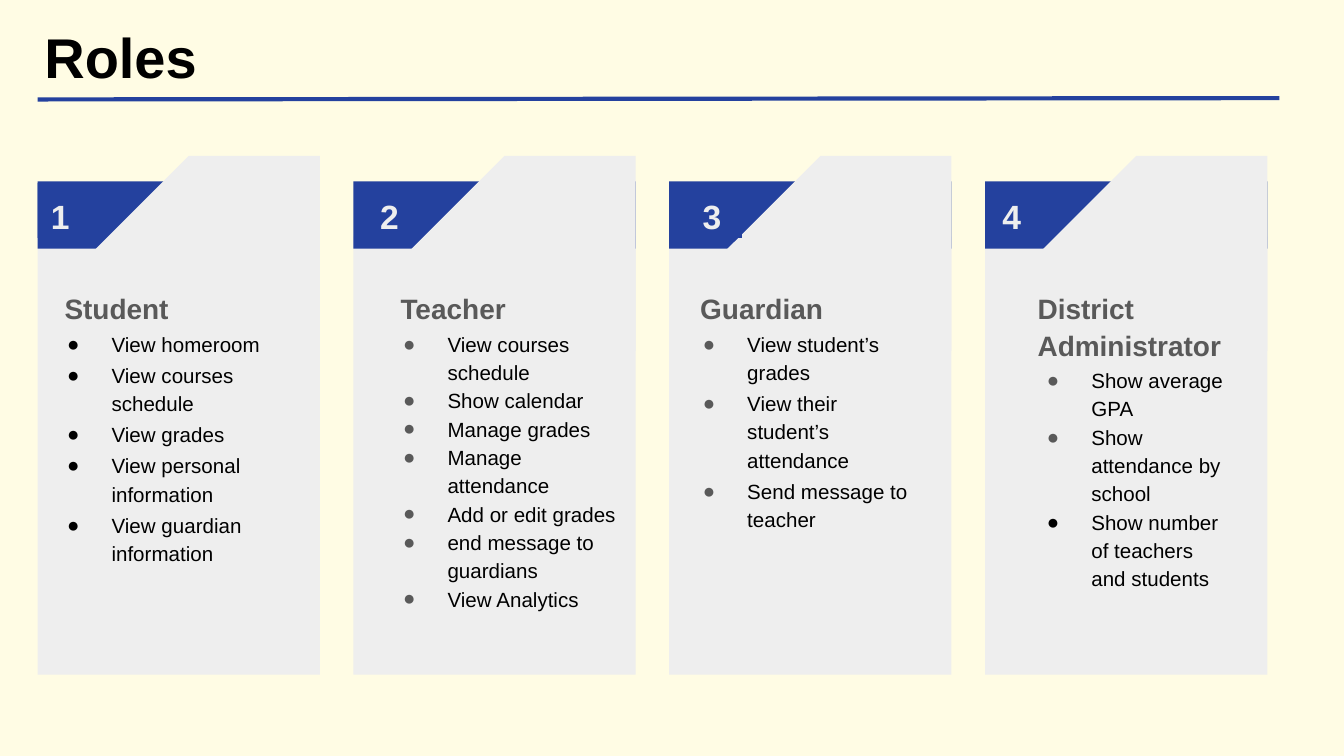
"""Build the Roles slide with four numbered cards."""
from dataclasses import dataclass

from lxml.etree import SubElement
from pptx import Presentation
from pptx.dml.color import RGBColor
from pptx.enum.shapes import MSO_CONNECTOR, MSO_SHAPE
from pptx.enum.text import MSO_ANCHOR, MSO_AUTO_SIZE, PP_ALIGN
from pptx.oxml.ns import qn
from pptx.util import Inches, Pt


@dataclass(frozen=True)
class Theme:
    """Hold the colours, the font and the type sizes."""
    page: str = "FFFCE4"
    blue: str = "24419E"
    card: str = "EEEEEE"
    gray: str = "595959"
    ink: str = "000000"
    font: str = "Arial"
    title: int = 30
    number: int = 18
    head: int = 15
    item: int = 11


@dataclass(frozen=True)
class Role:
    """Describe one card; marks holds one bullet colour per item."""
    heads: tuple
    items: tuple
    marks: tuple
    box: tuple
    label: tuple
    inset: float = 0.15
    gap: float = 1.5


LOOK = Theme()
GRAY, INK = LOOK.gray, LOOK.ink
ROLES = (
    Role(("Student",),
         ("View homeroom", "View courses schedule", "View grades",
          "View personal information", "View guardian information"),
         (INK,) * 5, (0.23, 2.07, 2.16, 2.39), (0.28, 0.39)),
    Role(("Teacher",),
         ("View courses schedule", "Show calendar", "Manage grades",
          "Manage attendance", "Add or edit grades",
          "end message to guardians", "View Analytics"),
         (GRAY,) * 7, (2.73, 2.07, 1.97, 2.97), (2.73, 0.39), gap=0),
    Role(("Guardian",),
         ("View student’s grades", "View their student’s attendance",
          "Send message to teacher"),
         (GRAY,) * 3, (4.96, 2.07, 1.95, 2.39), (5.13, 0.39)),
    Role(("District", "Administrator"),
         ("Show average GPA", "Show attendance by school",
          "Show number of teachers and students"),
         (GRAY, GRAY, INK), (7.52, 2.07, 1.7, 2.39), (7.36, 0.31),
         inset=0.1, gap=0),
)


def write(frame, text, size, color, bold=False, left=0, hang=0,
          mark=None, before=0, lead=1.0):
    """Add one formatted paragraph to a text frame."""
    para = frame.paragraphs[0]
    if para.runs:
        para = frame.add_paragraph()
    props = para._p.get_or_add_pPr()
    props.set("marL", str(Inches(left)))
    props.set("indent", str(Inches(hang)))
    if mark:
        tint = SubElement(props, qn("a:buClr"))
        SubElement(tint, qn("a:srgbClr")).set("val", mark)
        SubElement(props, qn("a:buFont")).set("typeface", LOOK.font)
        SubElement(props, qn("a:buChar")).set("char", "●")
    else:
        SubElement(props, qn("a:buNone"))
    para.alignment = PP_ALIGN.LEFT
    para.line_spacing = lead
    para.space_before = Pt(before)
    para.space_after = Pt(0)
    run = para.add_run()
    run.text = text
    font = run.font
    font.name, font.size, font.bold = LOOK.font, Pt(size), bold
    font.color.rgb = RGBColor.from_string(color)


class Deck:
    """Hold the theme and the current slide."""

    def __init__(self, look):
        """Open a 16:9 slide with a title and four body placeholders."""
        self.look = look
        self.file = Presentation()
        self.file.slide_width = Inches(10)
        self.file.slide_height = Inches(10 * 9 / 16)
        self.slide = self.file.slides.add_slide(self.file.slide_layouts[4])
        fill = self.slide.background.fill
        fill.solid()
        fill.fore_color.rgb = RGBColor.from_string(look.page)

    def frame(self, shape):
        """Give a shape's text frame even margins and top text."""
        text = shape.text_frame
        text.word_wrap = True
        text.auto_size = MSO_AUTO_SIZE.NONE
        text.vertical_anchor = MSO_ANCHOR.TOP
        text.margin_left = text.margin_right = Inches(0.1)
        text.margin_top = text.margin_bottom = Inches(0.1)
        return text

    def holder(self, index, box):
        """Move a placeholder to the front and return its frame."""
        shape = self.slide.placeholders[index]
        shape.left, shape.top, shape.width, shape.height = map(Inches, box)
        self.slide.shapes._spTree.append(shape._element)
        return self.frame(shape)

    def title(self, text):
        """Fill in the title."""
        write(self.holder(0, (0.23, 0.07, 8.36, 0.63)), text,
              self.look.title, self.look.ink, bold=True)

    def rule(self, start, end):
        """Draw the line under the title."""
        line = self.slide.shapes.add_connector(
            MSO_CONNECTOR.STRAIGHT, *map(Inches, start + end))
        line.line.color.rgb = RGBColor.from_string(self.look.blue)
        line.line.width = Pt(2.25)
        SubElement(line._element.spPr, qn("a:effectLst"))

    def block(self, home, box, color, kind=MSO_SHAPE.RECTANGLE):
        """Add a plain filled shape to the slide or a group."""
        shape = home.add_shape(kind, *map(Inches, box))
        shape.shadow.inherit = False
        shape.fill.solid()
        shape.fill.fore_color.rgb = RGBColor.from_string(color)
        shape.line.fill.background()
        return shape

    def card(self, left):
        """Draw a card with a blue tab and a cut corner."""
        home = self.slide.shapes.add_group_shape().shapes
        self.block(home, (left, 1.76, 2.1, 3.26), self.look.card)
        self.block(home, (left, 1.35, 2.1, 0.5), self.look.blue)
        flap = self.block(home, (left + 0.4, 1.16, 1.7, 1.45),
                          self.look.card, MSO_SHAPE.SNIP_1_RECTANGLE)
        flap.adjustments[0] = 0.5
        flap._element.spPr.find(qn("a:xfrm")).set("flipH", "1")

    def label(self, text, left, width):
        """Put a number on a card's tab."""
        shape = self.block(self.slide.shapes, (left, 1.36, width, 0.41),
                           self.look.blue)
        write(self.frame(shape), text, self.look.number, self.look.card,
              bold=True)

    def role(self, index, role):
        """Fill a body placeholder with a heading and its list."""
        frame = self.holder(index, role.box)
        for row, head in enumerate(role.heads):
            write(frame, head, self.look.head, self.look.gray, bold=True,
                  left=role.inset, before=1.5 if row else 0)
        for row, (item, mark) in enumerate(zip(role.items, role.marks)):
            write(frame, item, self.look.item, self.look.ink, left=0.5,
                  hang=-0.33, mark=mark, lead=1.15,
                  before=role.gap if row else 1.5)


def main():
    """Build and save the slide."""
    deck = Deck(LOOK)
    deck.title("Roles")
    deck.rule((0.28, 0.74), (9.52, 0.73))
    for step in range(len(ROLES)):
        deck.card(0.28 + 2.35 * step)
    for num, role in enumerate(ROLES, 1):
        deck.label(str(num), *role.label)
    for num, role in enumerate(ROLES, 1):
        deck.role(num, role)
    deck.file.save("out.pptx")


if __name__ == "__main__":
    main()
